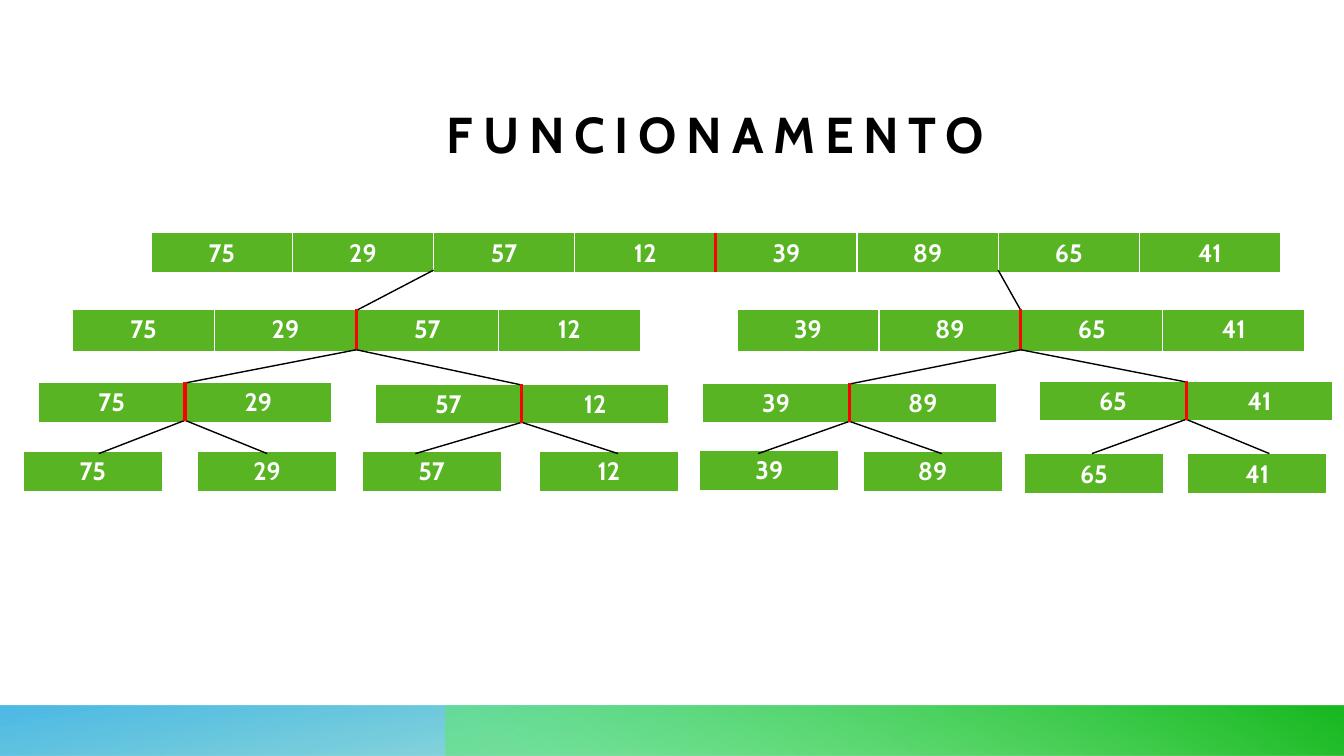
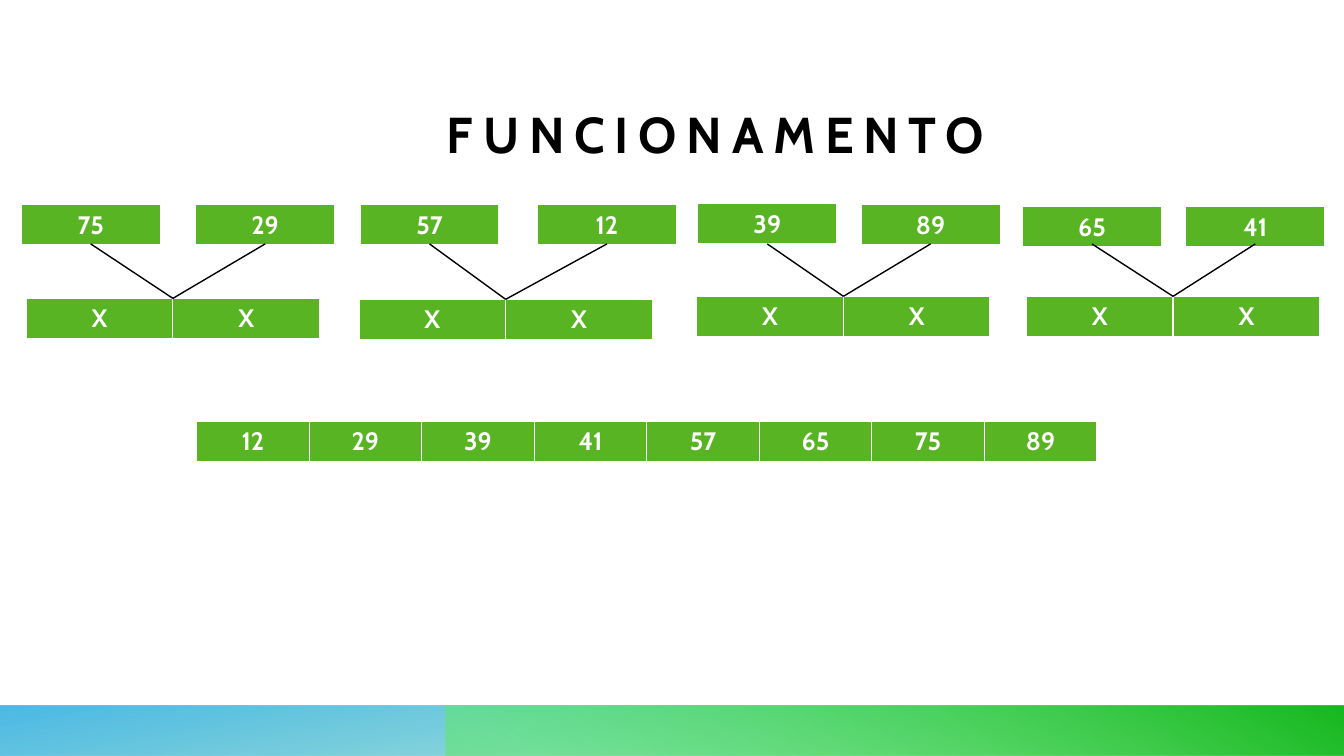
from dataclasses import dataclass

from lxml import etree
from pptx import Presentation
from pptx.dml.color import RGBColor
from pptx.enum.shapes import MSO_CONNECTOR, MSO_SHAPE
from pptx.enum.text import MSO_ANCHOR, MSO_AUTO_SIZE, PP_ALIGN
from pptx.oxml.ns import qn
from pptx.util import Inches, Pt

STRAIGHT = MSO_CONNECTOR.STRAIGHT
RECTANGLE = MSO_SHAPE.RECTANGLE
CENTER = PP_ALIGN.CENTER
BOTTOM = MSO_ANCHOR.BOTTOM
NO_AUTOFIT = MSO_AUTO_SIZE.NONE

WHITE = RGBColor(0xFF, 0xFF, 0xFF)
BLACK = RGBColor(0x00, 0x00, 0x00)
RED = RGBColor(0xFF, 0x00, 0x00)
CELL_GREEN = RGBColor(0x59, 0xB4, 0x24)
TEAL = RGBColor(0x18, 0xB3, 0xA1)
SKY = RGBColor(0x2D, 0xAD, 0xE3)
LIGHT_GREEN = RGBColor(0x5F, 0xEA, 0x66)
DEEP_GREEN = RGBColor(0x18, 0xB9, 0x20)

SLIDE_W, SLIDE_H = 13.33, 7.5
BAND_H = 0.5
GREEN_BAND_LEFT = 4.42
TITLE_BOX = (1.5, 0.63, 11.2, 0.99)
LETTER_SPACING = 700
FONT = "Cabin"
TITLE_FONT = {"name": FONT, "size": Pt(36), "bold": True}
CELL_FONT = {"name": FONT, "size": Pt(18), "bold": True}
CELL_BORDERS = {"a:lnL": 1, "a:lnR": 1, "a:lnT": 1, "a:lnB": 3}

ROW_H = 0.41
HALF_H = 0.43
CUT_H = 0.39
HALF_W, PAIR_W, LEAF_W = 5.63, 2.91, 1.38
NUMBERS = ["75", "29", "57", "12", "39", "89", "65", "41"]
LEAF_LEFTS = [0.23, 1.96, 3.59, 5.35, 6.94, 8.56, 10.16, 11.78]
LEAF_TOPS = [4.48, 4.48, 4.48, 4.48, 4.47, 4.48, 4.5, 4.5]
MERGE_SHIFT_X, MERGE_SHIFT_Y = -0.02, -2.45


@dataclass
class Array:
    """A row of equal cells, measured in inches."""
    values: list
    left: float
    top: float
    width: float
    height: float = ROW_H

    def edge(self, column):
        return self.left + self.width * column / len(self.values)

    @property
    def middle(self):
        return self.left + self.width / 2


def apply_font(font, settings, color):
    for attribute, value in settings.items():
        setattr(font, attribute, value)
    font.color.rgb = color


def add_band(slide, left, width, stops, angle, rotation=0):
    """Stops are (position, colour, opacity in percent); angle is clockwise."""
    band = slide.shapes.add_shape(RECTANGLE, Inches(left), Inches(SLIDE_H - BAND_H),
                                  Inches(width), Inches(BAND_H))
    band.shadow.inherit = False
    band.line.fill.background()
    band.rotation = rotation
    band.element.spPr.find(qn("a:xfrm")).set("flipH", "1")
    band.fill.gradient()
    band.fill.gradient_angle = 360 - angle
    for stop, (position, color, _) in zip(band.fill.gradient_stops, stops):
        stop.position = position
        stop.color.rgb = color
    colors = band.element.spPr.iter(qn("a:srgbClr"))
    for color, (_, _, opacity) in zip(list(colors), stops):
        etree.SubElement(color, qn("a:alpha")).set("val", str(opacity * 1000))
    return band


def add_layout_bands(slide):
    """Draw the bottom bands and move them to the layout that the slides share."""
    bands = [
        add_band(slide, 0, SLIDE_W, [(0.14, TEAL, 28), (1, SKY, 85)], 100, 180),
        add_band(slide, GREEN_BAND_LEFT, SLIDE_W - GREEN_BAND_LEFT,
                 [(0.09, LIGHT_GREEN, 55), (0.99, DEEP_GREEN, 100)], 240),
    ]
    for index, band in enumerate(bands, start=2):
        slide.slide_layout.shapes.element.insert(index, band.element)


def add_titled_slide(prs, text):
    slide = prs.slides.add_slide(prs.slide_layouts[5])
    title = slide.shapes.title
    for side, value in zip(("left", "top", "width", "height"), TITLE_BOX):
        setattr(title, side, Inches(value))
    frame = title.text_frame
    frame.text = text
    settings = {"margin_left": 0, "margin_top": 0, "margin_right": 0,
                "margin_bottom": 0, "word_wrap": True,
                "auto_size": NO_AUTOFIT, "vertical_anchor": BOTTOM}
    for attribute, value in settings.items():
        setattr(frame, attribute, value)
    paragraph = frame.paragraphs[0]
    paragraph.alignment = CENTER
    apply_font(paragraph.runs[0].font, TITLE_FONT, BLACK)
    for properties in title.element.iter(qn("a:rPr")):
        properties.set("spc", str(LETTER_SPACING))
    return slide


def add_cell_borders(cell_properties):
    for tag, points in CELL_BORDERS.items():
        border = etree.SubElement(cell_properties, qn(tag))
        border.set("w", str(Pt(points)))
        fill = etree.SubElement(border, qn("a:solidFill"))
        etree.SubElement(fill, qn("a:srgbClr")).set("val", str(WHITE))


def add_array(slide, array):
    table = slide.shapes.add_table(
        1, len(array.values), Inches(array.left), Inches(array.top),
        Inches(array.width), Inches(array.height)).table
    table.first_row = False
    table.horz_banding = False
    for cell, value in zip(table.iter_cells(), array.values):
        cell.text = value
        paragraph = cell.text_frame.paragraphs[0]
        paragraph.alignment = CENTER
        apply_font(paragraph.runs[0].font, CELL_FONT, WHITE)
        add_cell_borders(cell._tc.get_or_add_tcPr())
        cell.fill.solid()
        cell.fill.fore_color.rgb = CELL_GREEN


def add_line(slide, start, end, color=BLACK, points=1):
    line = slide.shapes.add_connector(STRAIGHT, *map(Inches, start + end))
    line.line.color.rgb = color
    line.line.width = Pt(points)
    etree.SubElement(line.element.spPr, qn("a:effectLst"))


def add_cut(slide, array):
    """Mark in red where the array is split in two."""
    add_line(slide, (array.middle, array.top), (array.middle, array.top + CUT_H),
             RED, 2.25)


def leaf_arrays(shift_x=0, shift_y=0):
    return [Array([number], left + shift_x, top + shift_y, LEAF_W)
            for number, left, top in zip(NUMBERS, LEAF_LEFTS, LEAF_TOPS)]


def draw_splitting(slide):
    root = Array(NUMBERS, 1.5, 2.31, 11.2)
    halves = [Array(NUMBERS[4 * i:4 * i + 4], left, 3.07, HALF_W, HALF_H)
              for i, left in enumerate((0.72, 7.31))]
    pair_corners = [(0.38, 3.79), (3.72, 3.81), (6.97, 3.8), (10.31, 3.78)]
    pairs = [Array(NUMBERS[2 * i:2 * i + 2], left, top, PAIR_W)
             for i, (left, top) in enumerate(pair_corners)]
    leaf_tips = [0.98, 2.65, 4.12, 6.13, 7.52, 9.34, 10.83, 12.59]

    for array in [root, *halves, *pairs, *leaf_arrays()]:
        add_array(slide, array)
    for half, column in zip(halves, (2, 6)):
        add_line(slide, (root.edge(column), 2.68), (half.middle, 3.08))
    for i, pair in enumerate(pairs):
        add_line(slide, (halves[i // 2].middle, 3.47), (pair.middle, pair.top + 0.01))
    for i, tip in enumerate(leaf_tips):
        pair = pairs[i // 2]
        add_line(slide, (pair.middle, pair.top + 0.38), (tip, 4.5))
    for array in [root, *halves, *pairs]:
        add_cut(slide, array)


def draw_merging(slide):
    leaves = leaf_arrays(MERGE_SHIFT_X, MERGE_SHIFT_Y)
    pair_corners = [(0.26, 2.96), (3.56, 2.97), (6.91, 2.94), (10.18, 2.94)]
    pairs = [Array(["X", "X"], left, top, PAIR_W) for left, top in pair_corners]
    ordered = Array(sorted(NUMBERS), 1.95, 4.18, 8.93)

    for array in [*leaves, *pairs, ordered]:
        add_array(slide, array)
    for i, leaf in enumerate(leaves):
        pair = pairs[i // 2]
        add_line(slide, (leaf.middle, 2.42), (pair.middle, pair.top))


def main():
    prs = Presentation()
    prs.slide_width, prs.slide_height = Inches(SLIDE_W), Inches(SLIDE_H)
    splitting, merging = (add_titled_slide(prs, "FUNCIONAMENTO") for _ in range(2))
    add_layout_bands(splitting)
    draw_splitting(splitting)
    draw_merging(merging)
    prs.save("out.pptx")


if __name__ == "__main__":
    main()
